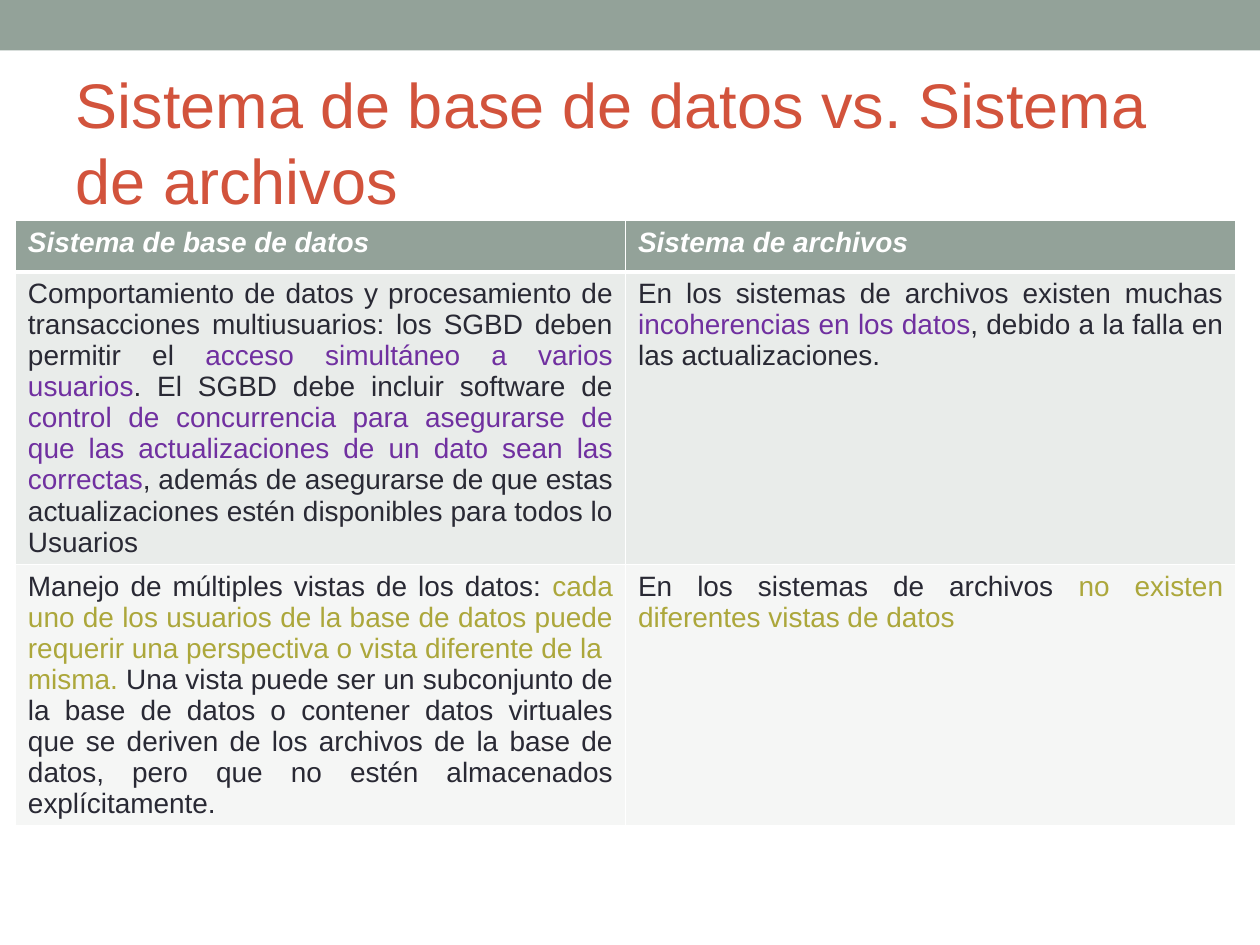
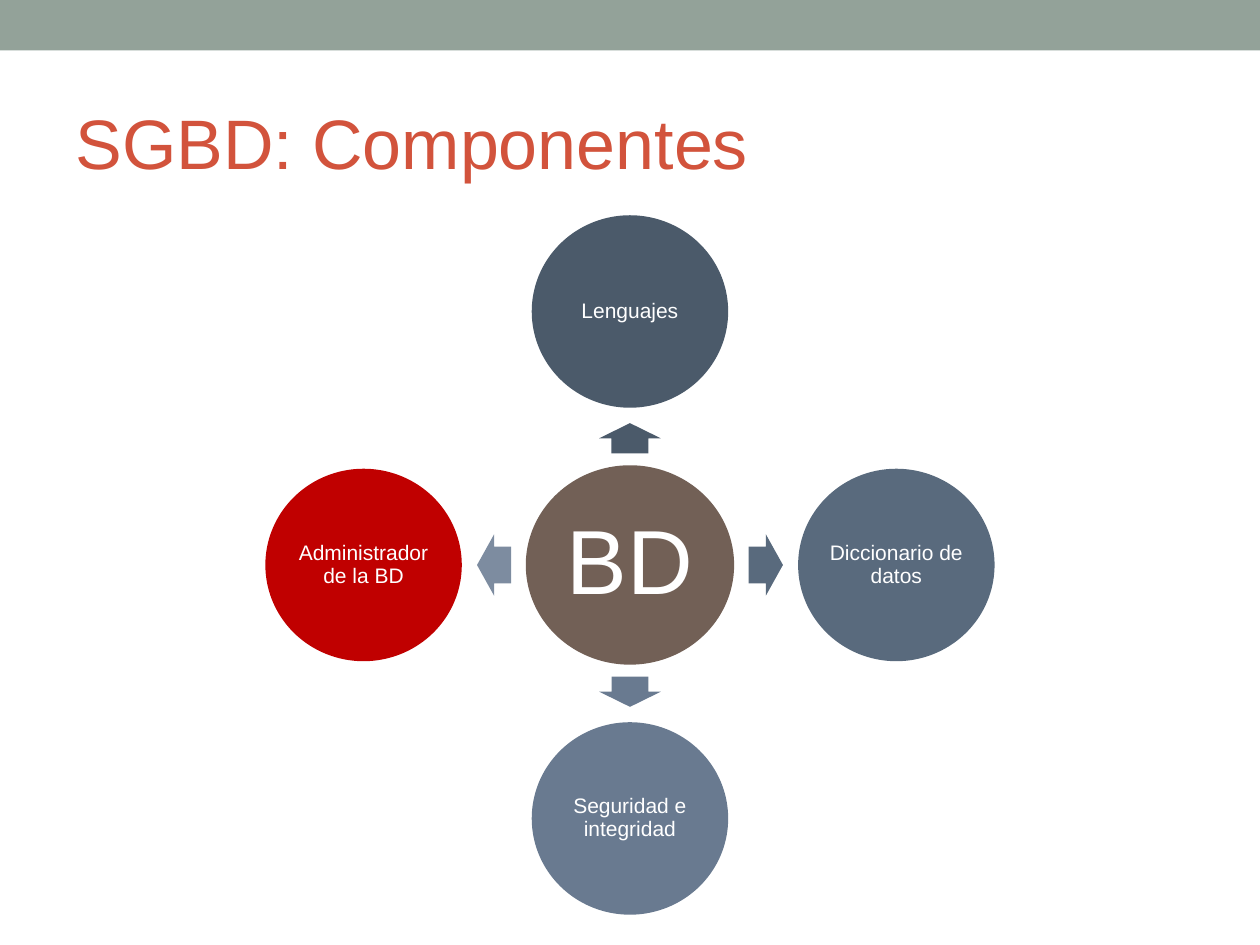
from dataclasses import dataclass
from lxml.etree import SubElement
from pptx import Presentation
from pptx.dml.color import RGBColor
from pptx.enum.shapes import MSO_SHAPE
from pptx.enum.text import MSO_ANCHOR, MSO_AUTO_SIZE, PP_ALIGN
from pptx.oxml.ns import qn
from pptx.util import Cm, Pt


@dataclass(frozen=True)
class Theme:
    font: str = "Arial"
    band: str = "93A299"
    title: str = "D2533C"
    ink: str = "292934"
    white: str = "FFFFFF"
    plum: str = "7030A0"
    olive: str = "ACA73B"
    odd: str = "E9ECEA"
    even: str = "F5F6F5"
    hub: str = "726056"
    big: int = 40
    head: int = 36
    cell: int = 16
    core: int = 52
    node: int = 12


T = Theme()


def write(frame, text, size, color, mark=None, bold=False, italic=False,
          align=PP_ALIGN.LEFT, line=None, after=None):
    """Fill a text frame: one paragraph a line, *marked* words in the mark colour."""
    for i, part in enumerate(text.split("\n")):
        para = frame.add_paragraph() if i else frame.paragraphs[0]
        para.alignment = align
        if line:
            para.line_spacing = line
        if after:
            para.space_after = Pt(after)
        for j, piece in enumerate(part.split("*")):
            if piece:
                run = para.add_run()
                run.text = piece
                font = run.font
                font.name, font.size = T.font, Pt(size)
                font.bold, font.italic = bold, italic
                font.color.rgb = RGBColor.from_string(mark if j % 2 else color)


def draw(shapes, kind, x, y, w, h, color):
    """Add a plain filled shape centred on x, y (in cm)."""
    shape = shapes.add_shape(kind, Cm(x - w / 2), Cm(y - h / 2), Cm(w), Cm(h))
    shape.shadow.inherit = False
    shape.fill.solid()
    shape.fill.fore_color.rgb = RGBColor.from_string(color)
    shape.line.fill.background()
    return shape


deck = Presentation()
deck.slide_width, deck.slide_height = Cm(25.4), Cm(19.05)

# Shared title place
look = deck.slide_layouts[5]
spot = look.placeholders[0]
spot.left, spot.top, spot.width, spot.height = Cm(1.27), Cm(1.47), Cm(22.86), Cm(2.75)

# Slides and titles
pages = []
for text, size in [("Sistema de base de datos vs. Sistema de archivos", T.head),
                   ("SGBD: Componentes", T.big)]:
    page = deck.slides.add_slide(look)
    frame = page.shapes.title.text_frame
    frame.auto_size = MSO_AUTO_SIZE.NONE
    frame.vertical_anchor = MSO_ANCHOR.MIDDLE
    write(frame, text, size, T.title)
    pages.append(page)
first, second = pages

# Shared top band, moved to the back of the master
band = draw(first.shapes, MSO_SHAPE.RECTANGLE, 12.7, 0.51, 25.4, 1.02, T.band)
deck.slide_master.shapes.element.insert(2, band.element)

# Slide 1: comparison table
rows = [
    ("Sistema de base de datos", "Sistema de archivos"),
    ("Comportamiento de datos y procesamiento de transacciones multiusuarios: "
     "los SGBD deben permitir el *acceso simultáneo a varios usuarios*. El SGBD "
     "debe incluir software de *control de concurrencia para asegurarse de que "
     "las actualizaciones de un dato sean las correctas*, además de asegurarse "
     "de que estas actualizaciones estén disponibles para todos lo Usuarios",
     "En los sistemas de archivos existen muchas *incoherencias en los datos*, "
     "debido a la falla en las actualizaciones."),
    ("Manejo de múltiples vistas de los datos: *cada uno de los usuarios de la "
     "base de datos puede *\n*requerir una perspectiva o vista diferente de la *\n"
     "*misma.* Una vista puede ser un subconjunto de \nla base de datos o "
     "contener datos virtuales que se deriven de los archivos de la base de "
     "datos, pero que no estén almacenados explícitamente.",
     "En los sistemas de archivos *no existen diferentes vistas de datos*"),
]
# Each row: height, fill, text colour, mark colour
styles = [(1.03, T.band, T.white, None),
          (5.9, T.odd, T.ink, T.plum),
          (5.25, T.even, T.ink, T.olive)]
grid = first.shapes.add_table(3, 2, Cm(0.31), Cm(4.45), Cm(24.6), Cm(12.18)).table
for r, (texts, (high, fill, ink, mark)) in enumerate(zip(rows, styles)):
    grid.rows[r].height = Cm(high)
    for c, text in enumerate(texts):
        cell = grid.cell(r, c)
        props = cell._tc.get_or_add_tcPr()
        for side in "LRTB":
            thick = (r, side) in [(0, "B"), (1, "T")]
            edge = SubElement(props, qn("a:ln" + side), w=str(Pt(3 if thick else 1)))
            paint = SubElement(edge, qn("a:solidFill"))
            SubElement(paint, qn("a:srgbClr"), val=T.white)
        cell.fill.solid()
        cell.fill.fore_color.rgb = RGBColor.from_string(fill)
        write(cell.text_frame, text, T.cell, ink, mark=mark, bold=r == 0,
              italic=r == 0, align=PP_ALIGN.JUSTIFY)

# Slide 2: hub, then four nodes around it with their arrows
mid_x, mid_y = 12.7, 11.39
step_x, step_y = 5.37, 5.11
# Each disc: text, direction across and down, turn, disc colour, arrow colour
discs = [
    ("BD", 0, 0, None, T.hub, None),
    ("Lenguajes", 0, -1, 270, "4B5A6A", "4B5A6A"),
    ("Diccionario de datos", 1, 0, 0, "596A7D", "596A7D"),
    ("Seguridad e integridad", 0, 1, 90, "697A90", "697A90"),
    ("Administrador de la BD", -1, 0, 180, "C00000", "7D8CA0"),
]
for text, dx, dy, turn, fill, tint in discs:
    hub = turn is None
    if not hub:
        arrow = draw(second.shapes, MSO_SHAPE.RIGHT_ARROW,
                     mid_x + dx * step_x * 0.51, mid_y + dy * step_y * 0.5,
                     0.69 if dx else 0.61, 1.24, tint)
        arrow.adjustments[0], arrow.adjustments[1] = 0.6, 0.5
        arrow.rotation = turn
    wide, high = (4.2, 4.02) if hub else (3.96, 3.88)
    disc = draw(second.shapes, MSO_SHAPE.OVAL, mid_x + dx * step_x,
                mid_y + dy * step_y, wide, high, fill)
    frame = disc.text_frame
    frame.word_wrap = True
    frame.vertical_anchor = MSO_ANCHOR.MIDDLE
    gap = Cm(0.18 if hub else 0.05)
    frame.margin_left = frame.margin_right = gap
    frame.margin_top = frame.margin_bottom = gap
    write(frame, text, T.core if hub else T.node, T.white,
          align=PP_ALIGN.CENTER, line=0.9, after=18.2 if hub else 4.2)

deck.save("out.pptx")
